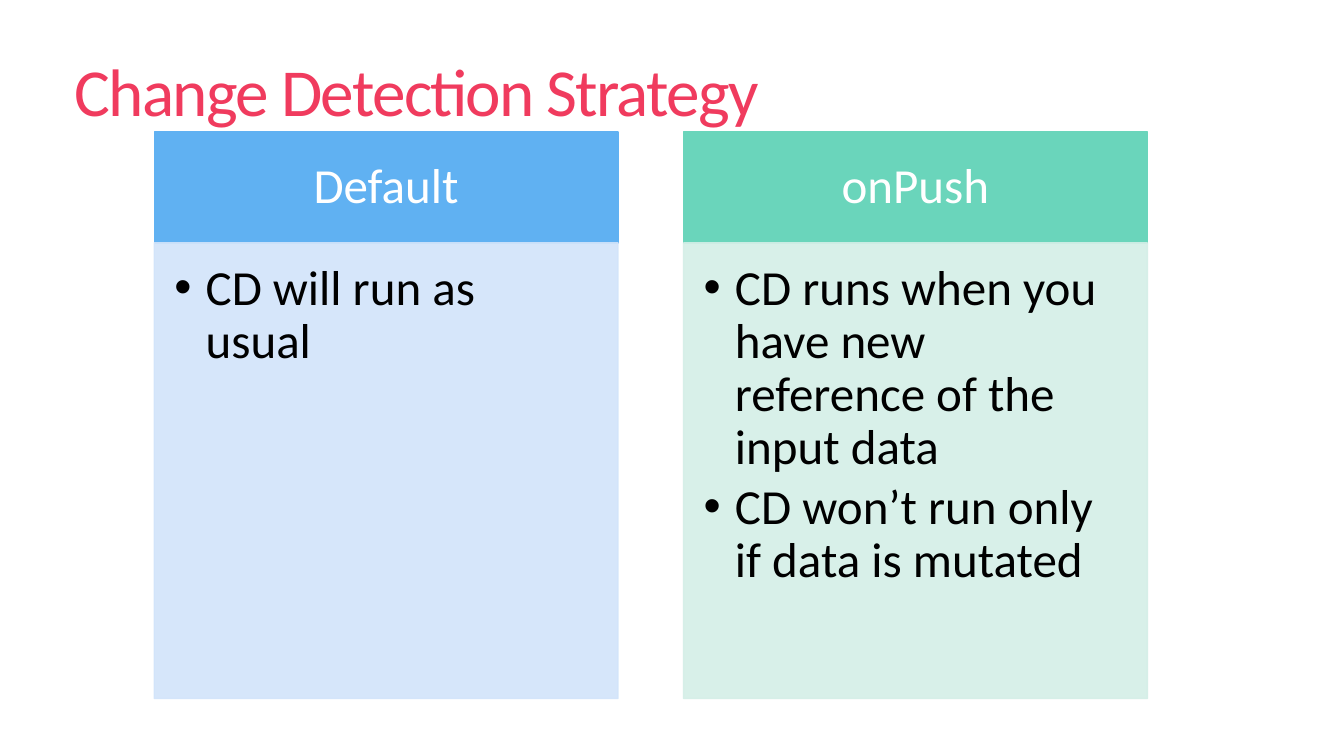
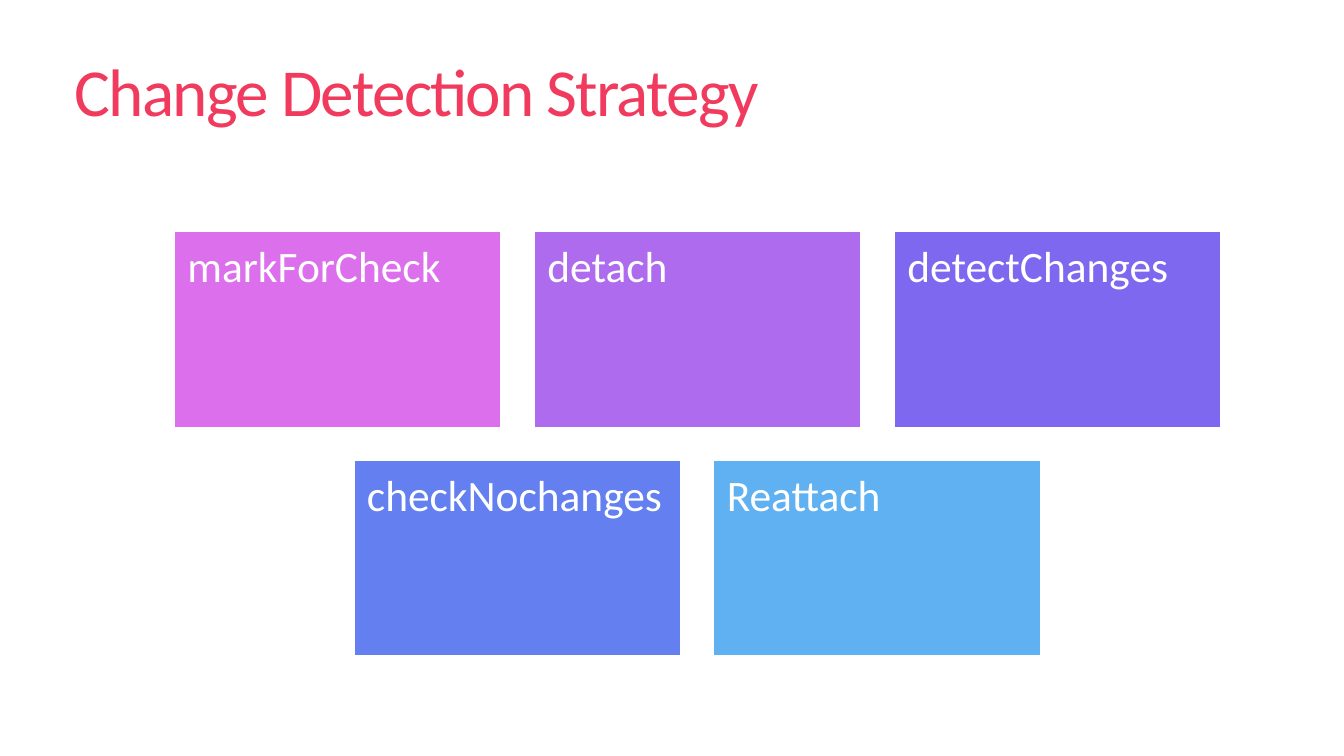
from lxml import etree
from pptx import Presentation
from pptx import util as u
from pptx.dml.color import RGBColor
from pptx.enum import shapes, text
from pptx.oxml.ns import qn

# Content
TITLE = "Change Detection Strategy"
STRATEGIES = [
    ("Default", "blue", "pale_blue", ["CD will run as usual"]),
    ("onPush", "green", "pale_green", [
        "CD runs when you have new reference of the input data",
        "CD won’t run only if data is mutated",
    ]),
]
METHOD_ROWS = [
    [("markForCheck", "pink"), ("detach", "purple"), ("detectChanges", "violet")],
    [("checkNochanges", "indigo"), ("Reattach", "blue")],
]

# Shared style
COLORS = {
    "title": "F03B5E", "white": "FFFFFF", "black": "000000",
    "blue": "60B1F2", "pale_blue": "D2E4FA",
    "green": "6AD5BB", "pale_green": "D4EFE7",
    "pink": "DC6FEC", "purple": "AE6BED", "violet": "7D68EF", "indigo": "6480F0",
}
FONT = "Calibri"
PX = 9144  # 100 px to the inch
SLIDE_W, SLIDE_H = 1333, 750
TITLE_BOX = (64, 22, 1142, 147)

# Strategy columns
COLUMN_LEFT, COLUMN_TOP, COLUMN_W, COLUMN_GAP = 153, 131, 460, 65
HEADER_H, BODY_H = 110, 452
BULLET_INDENT = 31

# Method tiles
TILES_LEFT, TILES_TOP = 173, 230
TILE_W, TILE_H, TILE_GAP = 324, 194, 33


def px(value):
    return u.Emu(value * PX)


def rgb(name):
    return RGBColor.from_string(COLORS[name])


def row_width(count):
    return count * TILE_W + (count - 1) * TILE_GAP


def write(shape, lines, size, color, insets, anchor=text.MSO_ANCHOR.TOP,
          align=text.PP_ALIGN.LEFT, line_spacing=0.9, after=0):
    frame = shape.text_frame
    frame.text = "\n".join(lines)
    frame.word_wrap = True
    frame.vertical_anchor = anchor
    (frame.margin_left, frame.margin_top,
     frame.margin_right, frame.margin_bottom) = map(px, insets)
    for paragraph in frame.paragraphs:
        paragraph.alignment = align
        paragraph.line_spacing = line_spacing
        paragraph.space_after = u.Pt(after)
        font = paragraph.runs[0].font
        font.name, font.size = FONT, u.Pt(size)
        font.color.rgb = rgb(color)
    return frame.paragraphs


def add_block(slide, box, fill, line, opacity=100):
    block = slide.shapes.add_shape(shapes.MSO_SHAPE.RECTANGLE, *map(px, box))
    block.shadow.inherit = False
    block.fill.solid()
    block.fill.fore_color.rgb = rgb(fill)
    block.line.color.rgb = rgb(line)
    block.line.width = u.Pt(1)
    if opacity < 100:
        for color in block._element.spPr.iter(qn("a:srgbClr")):
            etree.SubElement(color, qn("a:alpha"), val=str(opacity * 1000))
    return block


def add_bullet(paragraph):
    properties = paragraph._p.get_or_add_pPr()
    properties.set("marL", str(px(BULLET_INDENT)))
    properties.set("indent", str(-px(BULLET_INDENT)))
    etree.SubElement(properties, qn("a:buFont"), typeface="Arial")
    etree.SubElement(properties, qn("a:buChar"), char="•")


def add_titled_slide(deck):
    slide = deck.slides.add_slide(deck.slide_layouts[6])
    title = slide.shapes.add_textbox(*map(px, TITLE_BOX))
    heading = write(title, [TITLE], 48, "title", (10, 5, 10, 5),
                    anchor=text.MSO_ANCHOR.MIDDLE, line_spacing=0.85)[0]
    heading.runs[0]._r.get_or_add_rPr().set("spc", "-120")
    return slide


def build_strategies(deck):
    slide = add_titled_slide(deck)
    for index, (name, strong, pale, points) in enumerate(STRATEGIES):
        left = COLUMN_LEFT + index * (COLUMN_W + COLUMN_GAP)
        header = add_block(slide, (left, COLUMN_TOP, COLUMN_W, HEADER_H), strong, strong)
        write(header, [name], 35, "white", (27, 16, 27, 16),
              anchor=text.MSO_ANCHOR.MIDDLE, align=text.PP_ALIGN.CENTER)
        body = add_block(slide, (left, COLUMN_TOP + HEADER_H, COLUMN_W, BODY_H),
                         pale, pale, opacity=90)
        for point in write(body, points, 35, "black", (20, 20, 27, 31), after=5):
            add_bullet(point)


def build_methods(deck):
    slide = add_titled_slide(deck)
    widest = max(row_width(len(row)) for row in METHOD_ROWS)
    for row_index, row in enumerate(METHOD_ROWS):
        # Each row is centred under the widest one
        row_left = TILES_LEFT + (widest - row_width(len(row))) // 2
        top = TILES_TOP + row_index * (TILE_H + TILE_GAP)
        for index, (method, color) in enumerate(row):
            left = row_left + index * (TILE_W + TILE_GAP)
            tile = add_block(slide, (left, top, TILE_W, TILE_H), color, "white")
            write(tile, [method], 31, "white", (13, 13, 13, 13))


def main():
    deck = Presentation()
    deck.slide_width, deck.slide_height = px(SLIDE_W), px(SLIDE_H)
    build_strategies(deck)
    build_methods(deck)
    deck.save("out.pptx")


if __name__ == "__main__":
    main()
